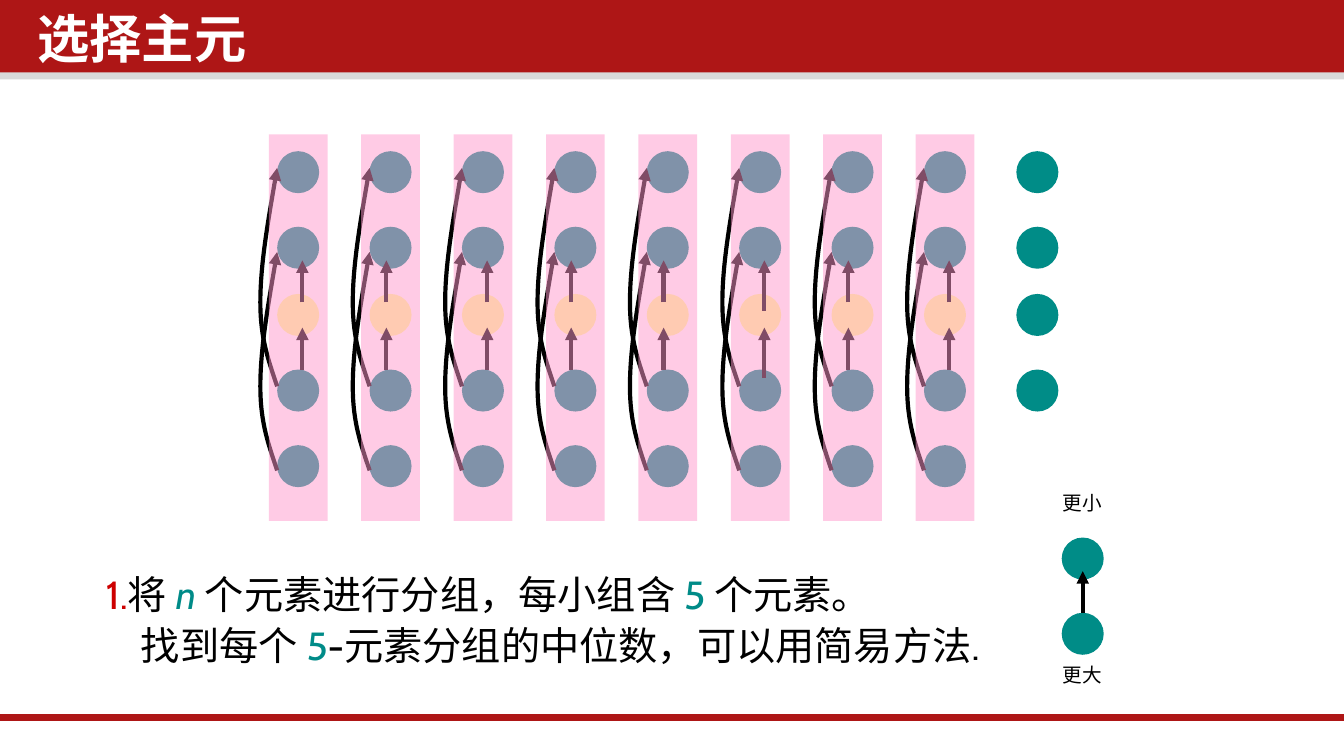
from lxml.etree import SubElement
from pptx import Presentation
from pptx.dml.color import RGBColor
from pptx.enum.shapes import MSO_CONNECTOR, MSO_SHAPE
from pptx.oxml.ns import qn
from pptx.util import Inches, Pt

RED, TEAL, BLACK, WHITE = "AE1616", "008C87", "000000", "FFFFFF"
MEDIAN_YELLOW, GROUP_PINK = "FFFF99", "FF99CC"
UNIT = 1 / 16  # grid step of the diagram, in inches
DOT = 5 * UNIT
DOT_ROWS = [row * UNIT for row in (2, 11, 19, 28, 37)]
MEDIAN_ROW = 2
GROUP_COUNT = 8
# Horizontal place of the straight arrows inside each group
ARROW_OFFSETS = [steps * UNIT for steps in (4, 3, 4, 3, 3, 4, 3, 4)]
LONG_ARROW_GROUP = 5


def rgb(hex_code):
    return RGBColor.from_string(hex_code)


def add_filled(slide, kind, left, top, width, height, color, opacity=100):
    shape = slide.shapes.add_shape(
        kind, Inches(left), Inches(top), Inches(width), Inches(height))
    shape.shadow.inherit = False
    shape.fill.solid()
    shape.fill.fore_color.rgb = rgb(color)
    shape.line.fill.background()
    if opacity < 100:
        fill_color = shape.fill._xPr.find(qn("a:solidFill"))[0]
        SubElement(fill_color, qn("a:alpha"), val=str(opacity * 1000))
    return shape


def add_dot(slide, left, top, color=TEAL):
    return add_filled(slide, MSO_SHAPE.OVAL, left, top, DOT, DOT, color)


def style_line(item, color, width, arrow=False):
    item.line.color.rgb = rgb(color)
    item.line.width = Pt(width)
    if arrow:
        SubElement(item.line._get_or_add_ln(), qn("a:tailEnd"), type="triangle")


def add_line(slide, x1, y1, x2, y2, color=BLACK, width=2.25, arrow=True):
    line = slide.shapes.add_connector(
        MSO_CONNECTOR.STRAIGHT, Inches(x1), Inches(y1), Inches(x2), Inches(y2))
    style_line(line, color, width, arrow)
    SubElement(line._element.spPr, qn("a:effectLst"))
    return line


def add_curved_arrow(slide, left, top):
    """Arrow bowing to the left, from bottom to top, made of two Bezier curves."""
    points = [(2, 26), (1, 23), (0, 20.4), (0, 16),
              (0, 11.6), (1, 5.8), (2, 0)]
    corners = [(Inches(left + x * UNIT), Inches(top + y * UNIT)) for x, y in points]
    builder = slide.shapes.build_freeform(*corners[0])
    builder.add_line_segments(corners[1:], close=False)
    curve = builder.convert_to_shape()
    curve.shadow.inherit = False
    curve.fill.background()
    style_line(curve, BLACK, 2.25, arrow=True)

    outline = next(curve._element.iter(qn("a:path")))
    segments = outline.findall(qn("a:lnTo"))
    for start in (0, 3):
        bezier = SubElement(outline, qn("a:cubicBezTo"))
        for segment in segments[start:start + 3]:
            bezier.append(segment[0])
            outline.remove(segment)


def add_text_box(slide, left, top, width, height, wrap=True):
    box = slide.shapes.add_textbox(
        Inches(left), Inches(top), Inches(width), Inches(height))
    box.text_frame.word_wrap = wrap
    return box.text_frame


def add_run(paragraph, text, size, font, color,
            bold=False, italic=False, east_asian=None):
    run = paragraph.add_run()
    run.text = text
    run.font.size = Pt(size)
    run.font.name = font
    run.font.bold = bold
    run.font.italic = italic
    run.font.color.rgb = rgb(color)
    SubElement(run._r.get_or_add_rPr(), qn("a:ea"), typeface=east_asian or font)


def add_frame(slide, width):
    """Header band with its title, and the rule at the foot."""
    add_filled(slide, MSO_SHAPE.RECTANGLE, 0, 0.5, width, 0.09, "D9D9D9")
    add_filled(slide, MSO_SHAPE.RECTANGLE, 0, 0, width, 0.54, RED)
    add_line(slide, -0.02, 5.34, width, 5.34, RED, 4, arrow=False)
    title = add_text_box(slide, 0.21, 0.06, 7.64, 0.59)
    title.margin_left = title.margin_right = Inches(0.07)
    title.margin_top = title.margin_bottom = Inches(0.04)
    heading = title.paragraphs[0]
    heading.line_spacing = 0.9
    add_run(heading, "选择主元", 28, "Noto Sans CJK SC", WHITE, bold=True)


def add_group(slide, left, top, arrow_offset, arrow_extra):
    """Five elements with their order arrows, under a translucent band."""
    for row, dot_top in enumerate(DOT_ROWS):
        color = MEDIAN_YELLOW if row == MEDIAN_ROW else TEAL
        add_dot(slide, left + UNIT, top + dot_top, color)
    x = left + arrow_offset
    for tip in (23 * UNIT, 15 * UNIT):
        add_line(slide, x, top + tip + 5 * UNIT + arrow_extra, x, top + tip)
    for curve_top in (14 * UNIT, 4 * UNIT):
        add_curved_arrow(slide, left - UNIT, top + curve_top)
    add_filled(slide, MSO_SHAPE.RECTANGLE, left, top,
               7 * UNIT, 46 * UNIT, GROUP_PINK, 50)


def add_groups(slide, left, top, width):
    pitch = width / GROUP_COUNT
    for index, offset in enumerate(ARROW_OFFSETS):
        extra = UNIT if index == LONG_ARROW_GROUP else 0
        add_group(slide, left + index * pitch, top, offset, extra)
    for dot_top in DOT_ROWS[:4]:
        add_dot(slide, left + width + UNIT, top + dot_top)


def add_legend(slide, left, top):
    add_dot(slide, left + 0.09, top + 0.4)
    larger = add_dot(slide, left + 0.09, top + 0.96)
    middle = left + 0.09 + DOT / 2
    arrow = add_line(slide, middle, top + 0.96, middle, top + 0.65)
    arrow.begin_connect(larger, 0)
    for label, label_top in (("更小", 0), ("更大", 1.28)):
        caption = add_text_box(slide, left, top + label_top, 0.5, 0.28, wrap=False)
        add_run(caption.paragraphs[0], label, 10.5, "Times New Roman", BLACK,
                east_asian="Cabin")


def add_step(slide, left, top, width, height):
    step = add_text_box(slide, left, top, width, height)
    lines = [
        [("1.", "CD0000"), ("将 ", BLACK), ("n ", "008B88"),
         ("个元素进行分组，每小组含 ", BLACK), ("5 ", "008B88"), ("个元素。", BLACK)],
        [("找到每个 ", BLACK), ("5", "008B88"),
         ("-元素分组的中位数，可以用简易方法.", BLACK)],
    ]
    first, second = step.paragraphs[0], step.add_paragraph()
    second.space_before = Pt(7.5)
    second._p.get_or_add_pPr().set("marL", str(Inches(0.26)))
    for paragraph, runs in zip((first, second), lines):
        paragraph.line_spacing = 0.8
        for text, color in runs:
            add_run(paragraph, text, 21, "Cabin", color, italic=text == "n ")


def main():
    deck = Presentation()
    deck.slide_width, deck.slide_height = Inches(10), Inches(10 * 9 / 16)
    slide = deck.slides.add_slide(deck.slide_layouts[6])
    add_frame(slide, 10)
    add_step(slide, 0.69, 4.26, 8.62, 0.81)
    add_groups(slide, 2, 1, 5.5)
    add_legend(slide, 7.81, 3.6)
    deck.save("out.pptx")


if __name__ == "__main__":
    main()
